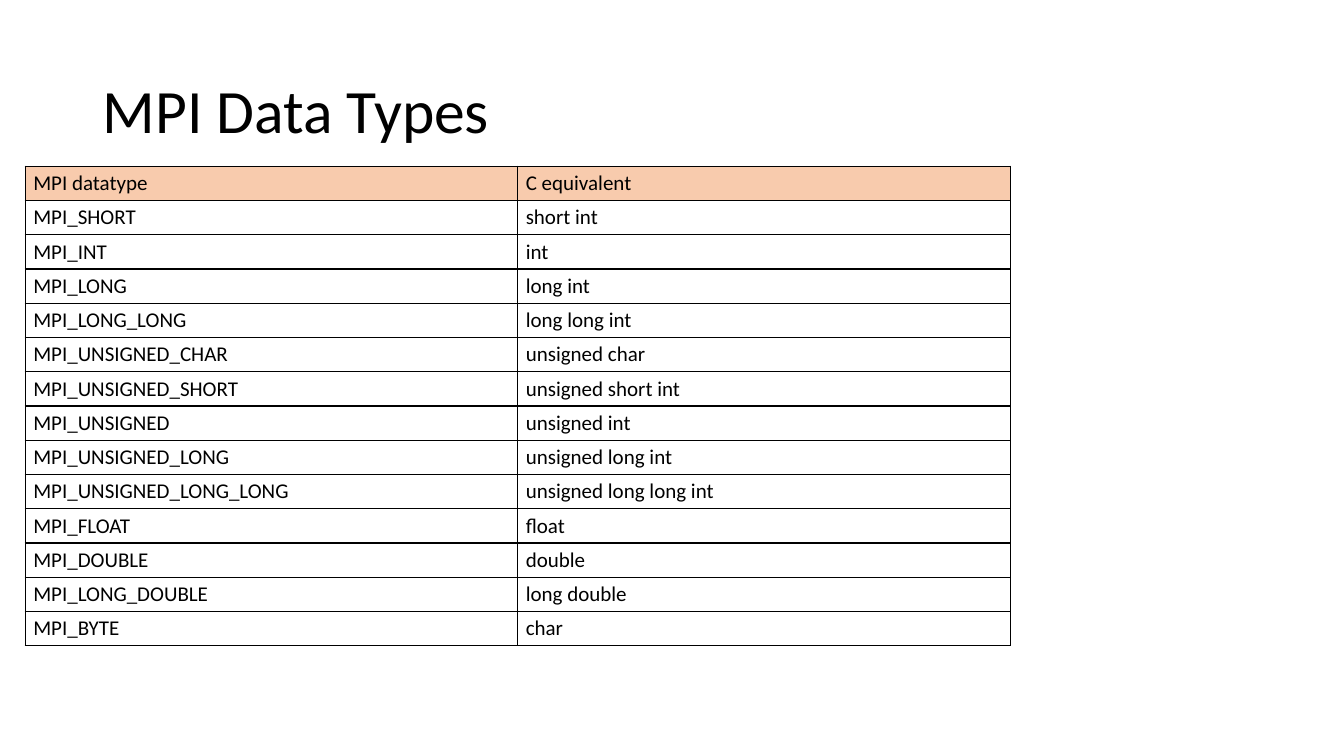
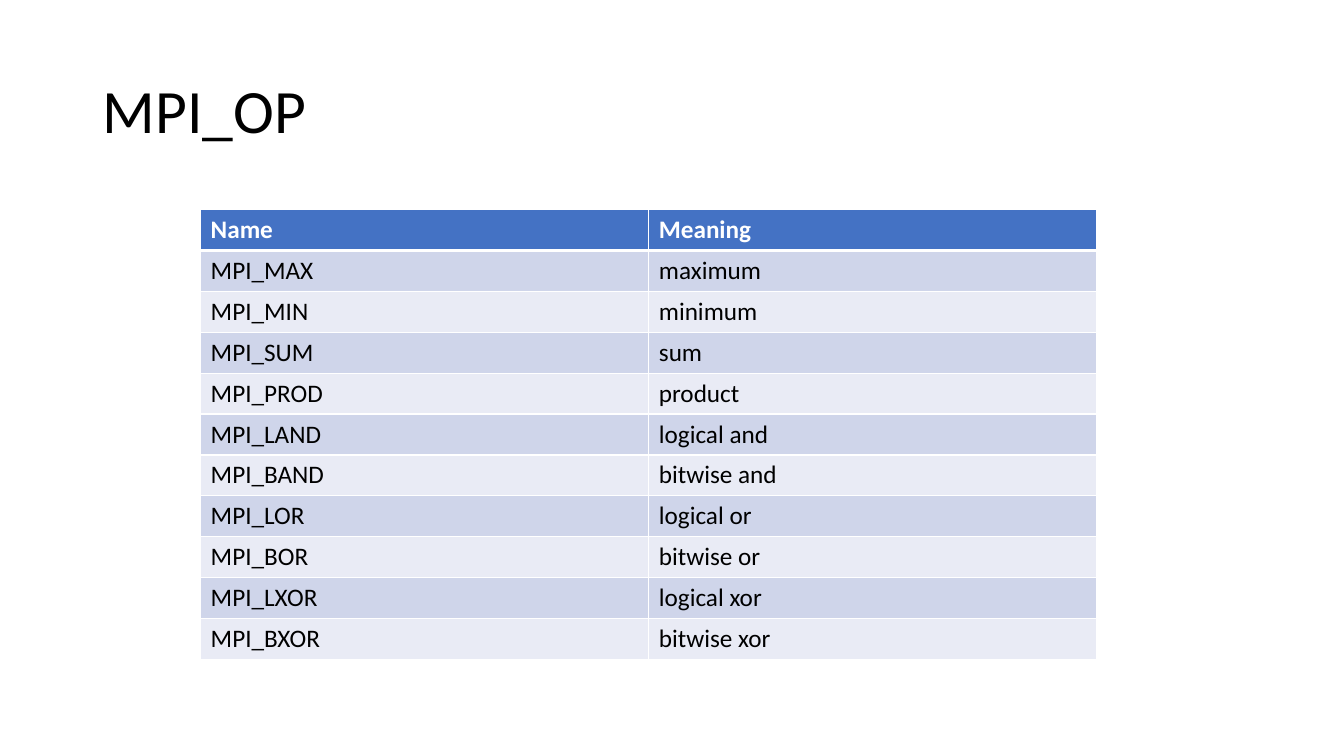
from dataclasses import dataclass

from lxml import etree
from pptx import Presentation
from pptx.dml.color import RGBColor
from pptx.enum.text import MSO_ANCHOR, MSO_AUTO_SIZE, PP_ALIGN
from pptx.oxml.ns import qn
from pptx.util import Inches, Pt


@dataclass(frozen=True)
class Theme:
    font: str = "Calibri"
    black: str = "000000"
    white: str = "FFFFFF"
    peach: str = "F8CBAD"
    blue: str = "4472C4"
    dark_band: str = "CFD5EA"
    light_band: str = "E9EBF5"
    title_size: int = 44
    table_size: int = 18
    dense_table_size: int = 15


@dataclass(frozen=True)
class TableStyle:
    size: int
    header_fill: str
    header_color: str
    header_bold: bool
    bands: tuple  # body fills in turn; None leaves the cell clear
    border_color: str
    header_rule: int  # width of the line below the header, in points
    margins: tuple  # horizontal and vertical, in inches
    anchor: MSO_ANCHOR


THEME = Theme()
GRID_STYLE = TableStyle(
    size=THEME.dense_table_size, header_fill=THEME.peach,
    header_color=THEME.black, header_bold=False, bands=(None,),
    border_color=THEME.black, header_rule=1, margins=(0.08, 0.04),
    anchor=MSO_ANCHOR.MIDDLE)
BANDED_STYLE = TableStyle(
    size=THEME.table_size, header_fill=THEME.blue,
    header_color=THEME.white, header_bold=True,
    bands=(THEME.dark_band, THEME.light_band),
    border_color=THEME.white, header_rule=3, margins=(0.1, 0.05),
    anchor=MSO_ANCHOR.TOP)

DATA_TYPES = [
    ("MPI datatype", "C equivalent"),
    ("MPI_SHORT", "short int"),
    ("MPI_INT", "int"),
    ("MPI_LONG", "long int"),
    ("MPI_LONG_LONG", "long long int"),
    ("MPI_UNSIGNED_CHAR", "unsigned char"),
    ("MPI_UNSIGNED_SHORT", "unsigned short int"),
    ("MPI_UNSIGNED", "unsigned int"),
    ("MPI_UNSIGNED_LONG", "unsigned long int"),
    ("MPI_UNSIGNED_LONG_LONG", "unsigned long long int"),
    ("MPI_FLOAT", "float"),
    ("MPI_DOUBLE", "double"),
    ("MPI_LONG_DOUBLE", "long double"),
    ("MPI_BYTE", "char"),
]
OPERATIONS = [
    ("Name", "Meaning"),
    ("MPI_MAX", "maximum"),
    ("MPI_MIN", "minimum"),
    ("MPI_SUM", "sum"),
    ("MPI_PROD", "product"),
    ("MPI_LAND", "logical and"),
    ("MPI_BAND", "bitwise and"),
    ("MPI_LOR", "logical or"),
    ("MPI_BOR", "bitwise or"),
    ("MPI_LXOR", "logical xor"),
    ("MPI_BXOR", "bitwise xor"),
]


def write_text(frame, text, *, size, color=THEME.black, bold=False, line_spacing=None):
    paragraph = frame.paragraphs[0]
    paragraph.alignment = PP_ALIGN.LEFT
    paragraph.line_spacing = line_spacing
    run = paragraph.add_run()
    run.text = text
    run.font.name = THEME.font
    run.font.size = Pt(size)
    run.font.bold = bold
    run.font.color.rgb = RGBColor.from_string(color)


def set_borders(cell, color, top, bottom):
    """Draw all four cell borders; top and bottom are widths in points."""
    properties = cell._tc.get_or_add_tcPr()
    sides = (("a:lnL", 1), ("a:lnR", 1), ("a:lnT", top), ("a:lnB", bottom))
    for position, (tag, width) in enumerate(sides):
        line = etree.Element(qn(tag), w=str(Pt(width)))
        fill = etree.SubElement(line, qn("a:solidFill"))
        etree.SubElement(fill, qn("a:srgbClr"), val=color)
        properties.insert(position, line)


class Deck:
    def __init__(self):
        self.presentation = Presentation()
        self.presentation.slide_width = Inches(13.33)
        self.presentation.slide_height = Inches(7.5)
        self.slide = None

    def add_slide(self, title):
        layout = self.presentation.slide_layouts.get_by_name("Title Only")
        self.slide = self.presentation.slides.add_slide(layout)
        shape = self.slide.shapes.title
        shape.left, shape.top = Inches(0.92), Inches(0.4)
        shape.width, shape.height = Inches(11.5), Inches(1.45)
        frame = shape.text_frame
        frame.auto_size = MSO_AUTO_SIZE.NONE
        frame.vertical_anchor = MSO_ANCHOR.MIDDLE
        write_text(frame, title, size=THEME.title_size, line_spacing=0.9)

    def add_table(self, rows, left, top, width, height, style):
        shape = self.slide.shapes.add_table(
            len(rows), len(rows[0]), Inches(left), Inches(top),
            Inches(width), Inches(height))
        for row_index, row in enumerate(rows):
            for column_index, text in enumerate(row):
                cell = shape.table.cell(row_index, column_index)
                self.format_cell(cell, text, row_index, style)

    def format_cell(self, cell, text, row_index, style):
        is_header = row_index == 0
        fill = style.header_fill if is_header else style.bands[(row_index - 1) % len(style.bands)]
        if fill:
            cell.fill.solid()
            cell.fill.fore_color.rgb = RGBColor.from_string(fill)
        else:
            cell.fill.background()
        horizontal, vertical = style.margins
        cell.margin_left = cell.margin_right = Inches(horizontal)
        cell.margin_top = cell.margin_bottom = Inches(vertical)
        cell.vertical_anchor = style.anchor
        write_text(cell.text_frame, text, size=style.size,
                   color=style.header_color if is_header else THEME.black,
                   bold=is_header and style.header_bold)
        set_borders(cell, style.border_color,
                    top=style.header_rule if row_index == 1 else 1,
                    bottom=style.header_rule if is_header else 1)


def main():
    deck = Deck()
    deck.add_slide("MPI Data Types")
    deck.add_table(DATA_TYPES, 0.25, 1.65, 9.77, 4.76, GRID_STYLE)
    deck.add_slide("MPI_OP")
    deck.add_table(OPERATIONS, 1.99, 2.08, 8.89, 4.46, BANDED_STYLE)
    deck.presentation.save("out.pptx")


if __name__ == "__main__":
    main()
